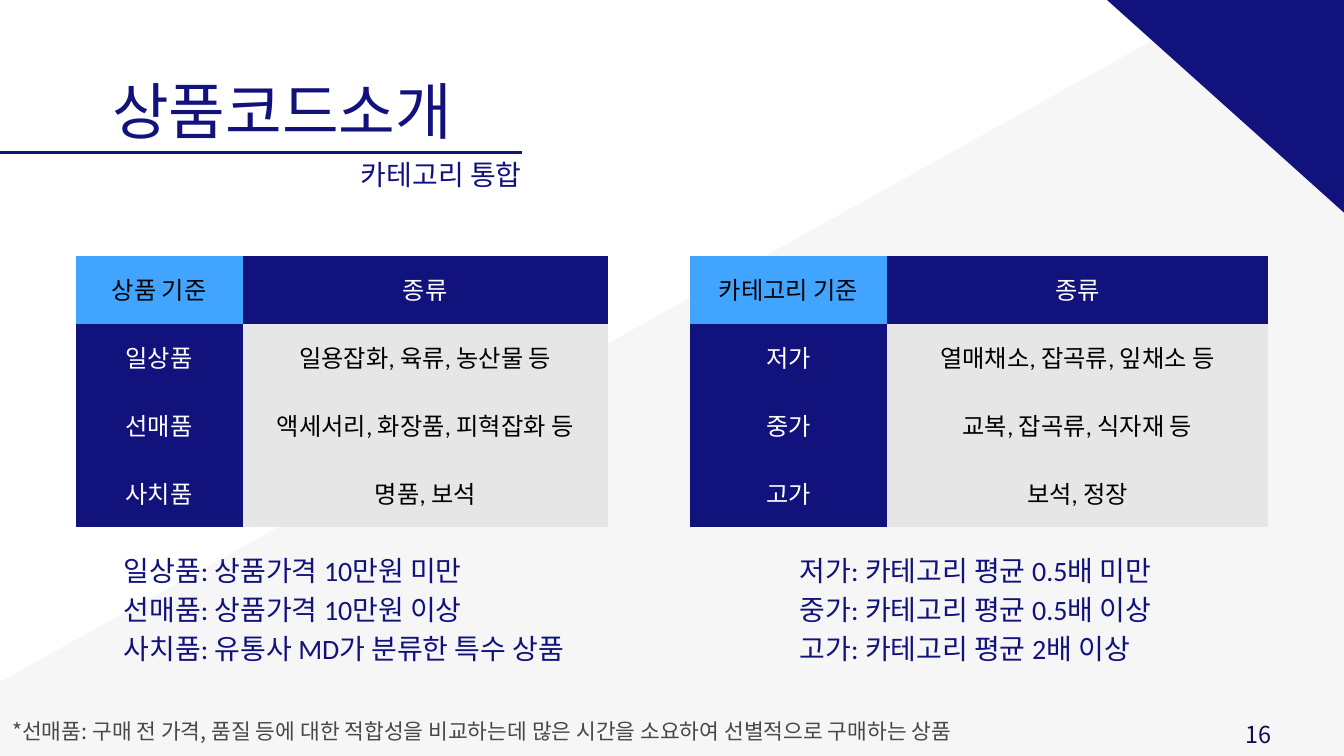
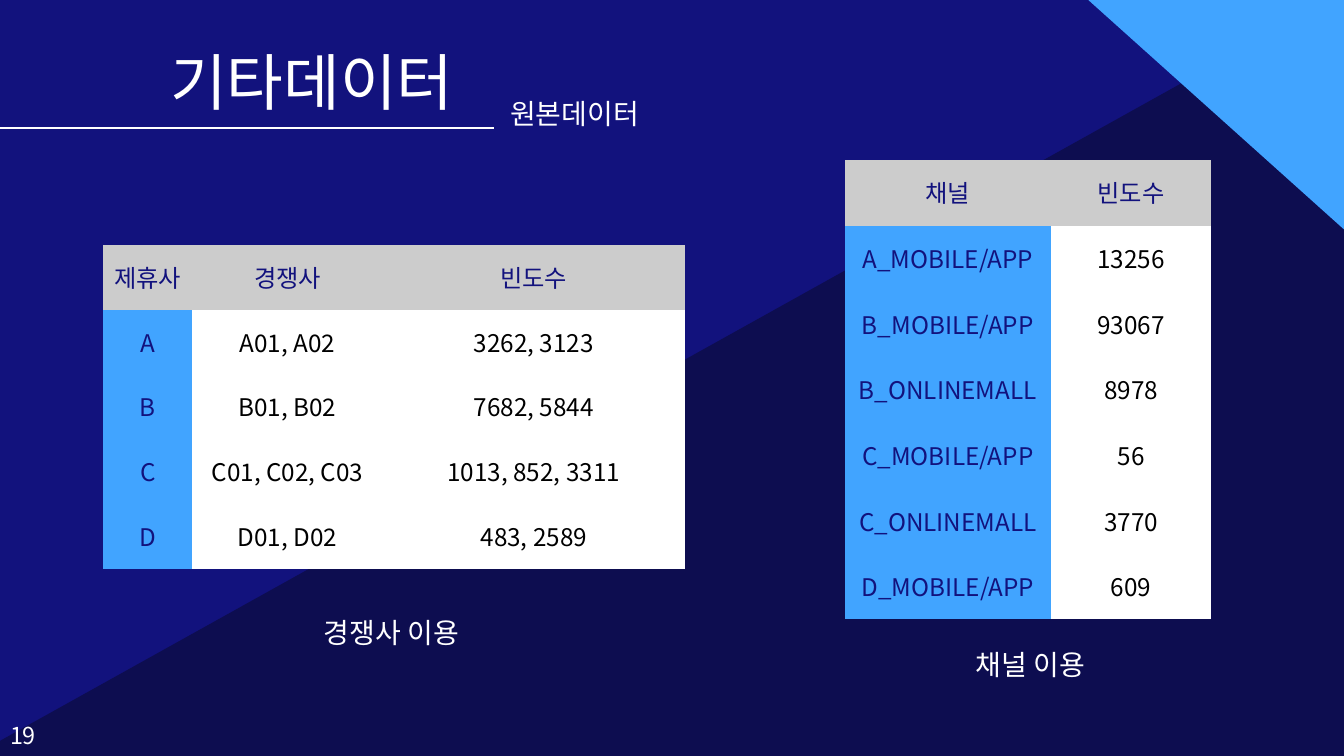
"""Build two slides on product codes and other data."""

from dataclasses import dataclass

from lxml.etree import SubElement
from pptx import Presentation
from pptx.dml.color import RGBColor
from pptx.enum.shapes import MSO_CONNECTOR, MSO_SHAPE
from pptx.enum.text import MSO_ANCHOR, PP_ALIGN
from pptx.oxml.ns import qn
from pptx.slide import Slide
from pptx.text.text import TextFrame, _Paragraph
from pptx.util import Pt

LATIN = "Calibri"
CJK = "Noto Sans CJK KR"


@dataclass(frozen=True)
class Type:
    """A type size with its line height and font."""

    size: float
    leading: float
    font: str = LATIN


@dataclass(frozen=True)
class Theme:
    """Colours and type styles shared by the slides."""

    navy: str = "12127D"
    midnight: str = "0D0D50"
    sky: str = "41A4FF"
    white: str = "FFFFFF"
    black: str = "000000"
    mist: str = "F6F6F6"
    pale: str = "E6E6E6"
    silver: str = "CCCCCC"
    charcoal: str = "4B4648"
    title: Type = Type(66, 79.2)
    text: Type = Type(30, 42)
    cell: Type = Type(26, 36.4)
    data: Type = Type(26, 36.4, CJK)
    footnote: Type = Type(23, 32.2, CJK)
    page: Type = Type(25, 53, CJK)


THEME = Theme()


@dataclass(frozen=True)
class Box:
    """A place on the slide, in points."""

    left: float
    top: float
    width: float
    height: float

    def lengths(self) -> tuple[Pt, Pt, Pt, Pt]:
        """Give the four lengths."""
        return Pt(self.left), Pt(self.top), Pt(self.width), Pt(self.height)


@dataclass(frozen=True)
class Label:
    """Lines of text in one style."""

    box: Box
    lines: tuple[str, ...]
    style: Type
    color: str


@dataclass(frozen=True)
class CellLook:
    """Fill, text colour and type of a cell."""

    fill: str
    color: str
    style: Type = THEME.cell


@dataclass(frozen=True)
class TableLook:
    """Looks of the four regions of a table and its cell margin."""

    corner: CellLook
    header: CellLook
    side: CellLook
    body: CellLook
    margin: float

    def at(self, row: int, column: int) -> CellLook:
        """Pick the look for a cell."""
        if row == 0:
            return self.header if column else self.corner
        return self.body if column else self.side


@dataclass(frozen=True)
class Grid:
    """A table with equal rows."""

    left: float
    top: float
    widths: tuple[float, ...]
    row_height: float
    look: TableLook
    rows: tuple[tuple[str, ...], ...]


@dataclass(frozen=True)
class Page:
    """Everything on one slide."""

    background: str
    slope: str
    corner: str
    slope_box: Box
    corner_box: Box
    title: Label
    rule: tuple[float, float, float]
    grids: tuple[Grid, ...]
    labels: tuple[Label, ...]


NAVY_HEADER = CellLook(THEME.navy, THEME.white)
SILVER_HEADER = CellLook(THEME.silver, THEME.navy)
CODE_LOOK = TableLook(CellLook(THEME.sky, THEME.black), NAVY_HEADER, NAVY_HEADER,
                      CellLook(THEME.pale, THEME.black), 11.5)
COUNT_LOOK = TableLook(SILVER_HEADER, SILVER_HEADER,
                       CellLook(THEME.sky, THEME.navy, THEME.data),
                       CellLook(THEME.white, THEME.black, THEME.data), 9.4)

PRODUCT_CODES = Page(
    THEME.white, THEME.mist, THEME.navy,
    Box(419.8, -49.7, 1126, 1755.4), Box(1239.1, -267.8, 401.8, 451.4),
    Label(Box(120.2, 78.5, 450.7, 79.2), ("상품코드소개",), THEME.title, THEME.navy),
    (-81.4, 559.4, 163.4),
    (
        Grid(80.9, 274.3, (179.3, 391), 72.7, CODE_LOOK, (
            ("상품 기준", "종류"),
            ("일상품", "일용잡화, 육류, 농산물 등"),
            ("선매품", "액세서리, 화장품, 피혁잡화 등"),
            ("사치품", "명품, 보석"),
        )),
        Grid(739.4, 274.3, (211, 408.2), 72.7, CODE_LOOK, (
            ("카테고리 기준", "종류"),
            ("저가", "열매채소, 잡곡류, 잎채소 등"),
            ("중가", "교복, 잡곡류, 식자재 등"),
            ("고가", "보석, 정장"),
        )),
    ),
    (
        Label(Box(386.6, 162.7, 175, 40.3), ("카테고리 통합",), THEME.text, THEME.navy),
        Label(Box(132.5, 586.8, 509, 124.6), (
            "일상품: 상품가격 10만원 미만",
            "선매품: 상품가격 10만원 이상",
            "사치품: 유통사 MD가 분류한 특수 상품",
        ), THEME.text, THEME.navy),
        Label(Box(856.8, 586.8, 411.8, 124.6), (
            "저가: 카테고리 평균 0.5배 미만",
            "중가: 카테고리 평균 0.5배 이상",
            "고가: 카테고리 평균 2배 이상",
        ), THEME.text, THEME.navy),
        Label(Box(13, 764.6, 1059.8, 31), (
            "*선매품: 구매 전 가격, 품질 등에 대한 적합성을 비교하는데 많은 시간을 소요하여 "
            "선별적으로 구매하는 상품",
        ), THEME.footnote, THEME.charcoal),
        Label(Box(1334.5, 748.8, 91, 46.8), ("16",), THEME.page, THEME.midnight),
    ),
)

OTHER_DATA = Page(
    THEME.navy, THEME.midnight, THEME.sky,
    Box(414, 16.6, 1126, 1755.4), Box(1239.1, -249.8, 401.8, 451.4),
    Label(Box(182.2, 46.8, 346.3, 79.2), ("기타데이터",), THEME.title, THEME.white),
    (-33.8, 529.2, 137.5),
    (
        Grid(110.9, 262.1, (95, 204.5, 323.3), 69.55, COUNT_LOOK, (
            ("제휴사", "경쟁사", "빈도수"),
            ("A", "A01, A02", "3262, 3123"),
            ("B", "B01, B02", "7682, 5844"),
            ("C", "C01, C02, C03", "1013, 852, 3311"),
            ("D", "D01, D02", "483, 2589"),
        )),
        Grid(905, 171.4, (221.3, 171.4), 70.35, COUNT_LOOK, (
            ("채널", "빈도수"),
            ("A_MOBILE/APP", "13256"),
            ("B_MOBILE/APP", "93067"),
            ("B_ONLINEMALL", "8978"),
            ("C_MOBILE/APP", "56"),
            ("C_ONLINEMALL", "3770"),
            ("D_MOBILE/APP", "609"),
        )),
    ),
    (
        Label(Box(546.5, 97.9, 140.4, 40.3), ("원본데이터",), THEME.text, THEME.white),
        Label(Box(347, 653, 151.2, 40.3), ("경쟁사 이용",), THEME.text, THEME.white),
        Label(Box(1045.4, 688.3, 120.2, 40.3), ("채널 이용",), THEME.text, THEME.white),
        Label(Box(10.8, 749.5, 96.5, 46.8), ("19",), THEME.page, THEME.white),
    ),
)


def format_paragraph(paragraph: _Paragraph, style: Type, color: str,
                     alignment: PP_ALIGN = PP_ALIGN.LEFT) -> None:
    """Give a paragraph its type, colour and alignment."""
    paragraph.alignment = alignment
    paragraph.line_spacing = Pt(style.leading)
    paragraph.font.size = Pt(style.size)
    paragraph.font.name = style.font
    paragraph.font.color.rgb = RGBColor.from_string(color)


def fill_frame(frame: TextFrame, label: Label) -> None:
    """Put the lines of a label into a frame without margins."""
    frame.text = "\n".join(label.lines)
    frame.word_wrap = True
    frame.vertical_anchor = MSO_ANCHOR.TOP
    frame.margin_left = frame.margin_right = frame.margin_top = frame.margin_bottom = 0
    for paragraph in frame.paragraphs:
        format_paragraph(paragraph, label.style, label.color)


def draw_panel(slide: Slide, box: Box, rotation: float, color: str) -> None:
    """Draw a plain turned rectangle."""
    panel = slide.shapes.add_shape(MSO_SHAPE.RECTANGLE, *box.lengths())
    panel.rotation = rotation
    panel.shadow.inherit = False
    panel.fill.solid()
    panel.fill.fore_color.rgb = RGBColor.from_string(color)
    panel.line.fill.background()


def draw_rule(slide: Slide, start: float, end: float, height: float, color: str) -> None:
    """Draw the line under the title."""
    rule = slide.shapes.add_connector(MSO_CONNECTOR.STRAIGHT, Pt(start), Pt(height),
                                      Pt(end), Pt(height))
    rule.line.color.rgb = RGBColor.from_string(color)
    rule.line.width = Pt(2.25)
    SubElement(rule._element.spPr, qn("a:effectLst"))


def draw_grid(slide: Slide, grid: Grid) -> None:
    """Draw a table without borders."""
    box = Box(grid.left, grid.top, sum(grid.widths), grid.row_height * len(grid.rows))
    table = slide.shapes.add_table(len(grid.rows), len(grid.widths), *box.lengths()).table
    table.first_row = table.horz_banding = False
    for column, width in zip(table.columns, grid.widths):
        column.width = Pt(width)
    for r, texts in enumerate(grid.rows):
        table.rows[r].height = Pt(grid.row_height)
        for c, text in enumerate(texts):
            cell, look = table.cell(r, c), grid.look.at(r, c)
            for side in ("a:lnL", "a:lnR", "a:lnT", "a:lnB"):
                border = SubElement(cell._tc.get_or_add_tcPr(), qn(side), w="0")
                SubElement(border, qn("a:noFill"))
            cell.fill.solid()
            cell.fill.fore_color.rgb = RGBColor.from_string(look.fill)
            cell.vertical_anchor = MSO_ANCHOR.MIDDLE
            cell.margin_left = cell.margin_right = Pt(grid.look.margin)
            cell.margin_top = cell.margin_bottom = Pt(grid.look.margin)
            cell.text = text
            format_paragraph(cell.text_frame.paragraphs[0], look.style, look.color,
                             PP_ALIGN.CENTER)


def draw_page(slide: Slide, page: Page) -> None:
    """Draw one whole slide."""
    slide.background.fill.solid()
    slide.background.fill.fore_color.rgb = RGBColor.from_string(page.background)
    draw_panel(slide, page.slope_box, 240.9, page.slope)
    draw_panel(slide, page.corner_box, 131.9, page.corner)
    title = slide.shapes.title
    title.left, title.top, title.width, title.height = page.title.box.lengths()
    fill_frame(title.text_frame, page.title)
    draw_rule(slide, *page.rule, page.title.color)
    for grid in page.grids:
        draw_grid(slide, grid)
    for label in page.labels:
        fill_frame(slide.shapes.add_textbox(*label.box.lengths()).text_frame, label)


def main() -> None:
    """Build and save the presentation."""
    presentation = Presentation()
    presentation.slide_width, presentation.slide_height = Pt(1440), Pt(810)
    title_only = presentation.slide_layouts[5]
    for page in (PRODUCT_CODES, OTHER_DATA):
        draw_page(presentation.slides.add_slide(title_only), page)
    presentation.save("out.pptx")


if __name__ == "__main__":
    main()
